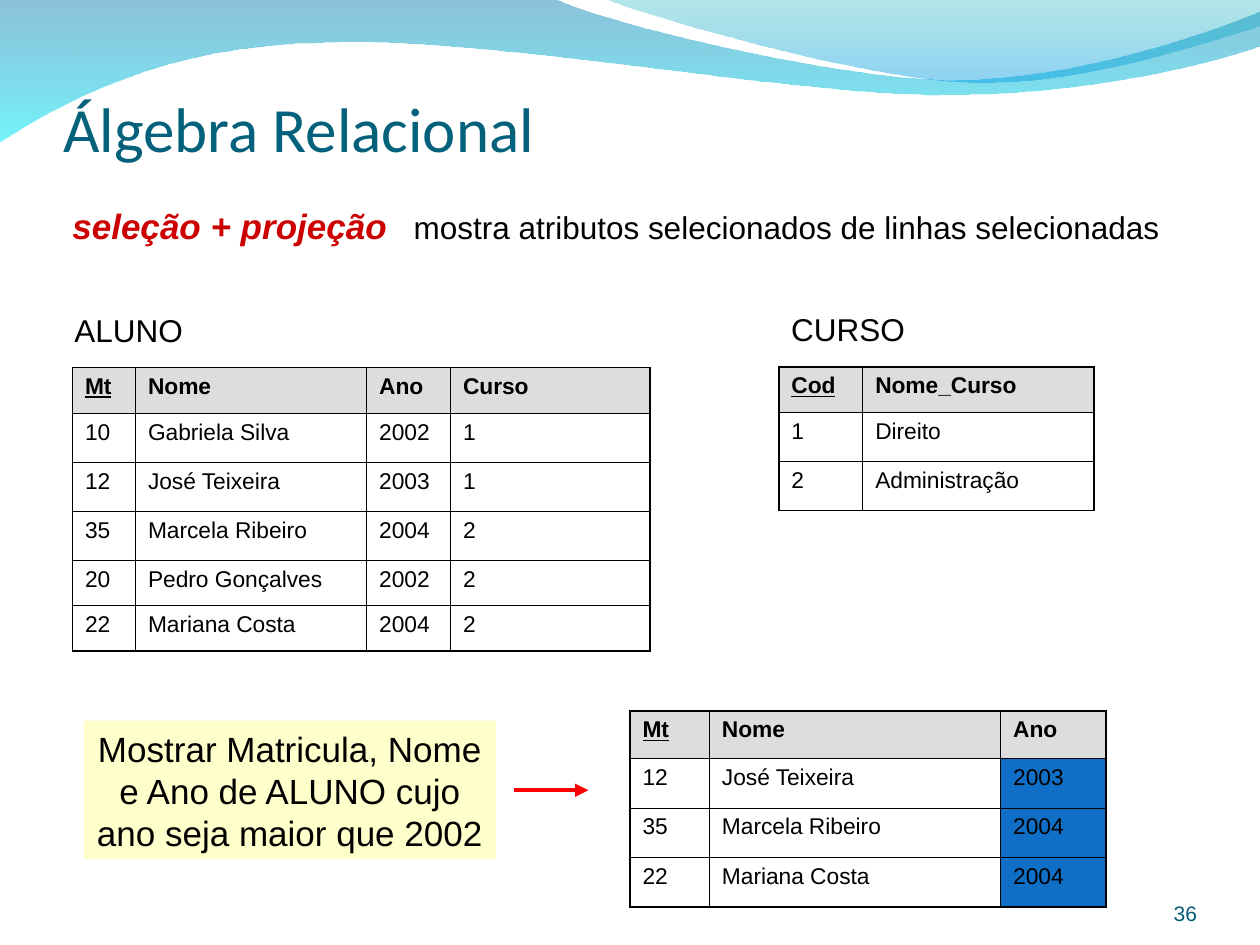
from lxml.etree import SubElement
from pptx import Presentation
from pptx.dml.color import RGBColor
from pptx.enum.shapes import MSO_CONNECTOR as CONN, MSO_SHAPE as SHAPE
from pptx.enum.text import MSO_ANCHOR as ANCHOR, PP_ALIGN as ALIGN
from pptx.oxml.ns import qn
from pptx.util import Cm, Pt

COLORS = {
    "title": "04617B", "number": "045C75", "text": "000000", "term": "CC0000",
    "header": "DDDDDD", "highlight": "0F6FC6", "note": "FFFFCC", "arrow": "FF0000",
    "wave_top": "0079AF", "wave_bottom": "00EBF8",
    "crest_top": "00ADB6", "crest_bottom": "009BE5",
}
WAVE = [
    (0, -0.03), (11.18, -0.03),
    (12.09, 0.43, 16.87, 1.6, 19.25, 1.6), (21.67, 1.6, 24.33, 0.66, 25.4, 0.23),
    (25.43, 0.91),
    (24.97, 1.12, 22.1, 1.93, 18.95, 1.91), (15.8, 1.91, 9.7, 0.71, 6.53, 0.86),
    (3.28, 0.89, 1.17, 2.11, -0.03, 2.87),
]
CREST = [
    (12.17, -0.03),
    (12.93, 0.28, 17.32, 1.57, 19.53, 1.65), (21.74, 1.75, 24.41, 0.81, 25.4, 0.53),
    (25.4, 0),
]
STUDENTS = [
    ["Mt", "Nome", "Ano", "Curso"],
    ["10", "Gabriela Silva", "2002", "1"],
    ["12", "José Teixeira", "2003", "1"],
    ["35", "Marcela Ribeiro", "2004", "2"],
    ["20", "Pedro Gonçalves", "2002", "2"],
    ["22", "Mariana Costa", "2004", "2"],
]
COURSES = [["Cod", "Nome_Curso"], ["1", "Direito"], ["2", "Administração"]]
RESULT = [
    ["Mt", "Nome", "Ano"],
    ["12", "José Teixeira", "2003"],
    ["35", "Marcela Ribeiro", "2004"],
    ["22", "Mariana Costa", "2004"],
]


def rgb(name):
    """Return the named palette colour."""
    return RGBColor.from_string(COLORS[name])


def bend(sp, segments):
    """Turn the straight segments that carry control points into cubic curves."""
    lines = list(sp._element.spPr.iter(qn("a:lnTo")))
    for line, seg in zip(lines, segments):
        if len(seg) == 6:
            outline = line.getparent()
            curve = SubElement(outline, qn("a:cubicBezTo"))
            for x, y in zip(seg[::2], seg[1::2]):
                SubElement(curve, qn("a:pt"), x=str(Cm(x) - sp.left), y=str(Cm(y) - sp.top))
            outline.replace(line, curve)


def add_wave(s, segments, stops):
    """Draw a translucent curved outline with a vertical gradient."""
    points = [(Cm(seg[-2]), Cm(seg[-1])) for seg in segments]
    builder = s.shapes.build_freeform(*points[0])
    builder.add_line_segments(points[1:], close=True)
    sp = builder.convert_to_shape()
    bend(sp, segments[1:])
    sp.shadow.inherit = False
    sp.line.fill.background()
    sp.fill.gradient()
    sp.fill.gradient_angle = 270
    for position, (stop, (color, _)) in enumerate(zip(sp.fill.gradient_stops, stops)):
        stop.position = position
        stop.color.rgb = rgb(color)
    for node, (_, alpha) in zip(sp._element.spPr.iter(qn("a:srgbClr")), stops):
        SubElement(node, qn("a:alpha"), val=str(alpha * 1000))


def add_run(p, text, size=18, color="text", font="Arial", **style):
    """Append a formatted run to a paragraph."""
    r = p.add_run()
    r.text = text
    r.font.name, r.font.size = font, Pt(size)
    r.font.color.rgb = rgb(color)
    for key, value in style.items():
        setattr(r.font, key, value)


def set_frame(tf, margins=(0.25, 0.13, 0.25, 0.13), anchor=ANCHOR.TOP, align=ALIGN.LEFT):
    """Lay out a text frame and return its first paragraph."""
    tf.margin_left, tf.margin_top, tf.margin_right, tf.margin_bottom = map(Cm, margins)
    tf.vertical_anchor, tf.word_wrap = anchor, True
    p = tf.paragraphs[0]
    p.alignment = align
    return p


def add_text(s, box, text, frame=None, **style):
    """Add a text box with one run."""
    sp = s.shapes.add_textbox(*map(Cm, box))
    add_run(set_frame(sp.text_frame, **(frame or {})), text, **style)


def add_definition(s):
    """Add the operation name and its meaning, set apart by a tab."""
    sp = s.shapes.add_textbox(Cm(1.21), Cm(3.31), Cm(23.5), Cm(2.97))
    p = set_frame(sp.text_frame)
    p.line_spacing = 1.8
    tabs = SubElement(p._p.get_or_add_pPr(), qn("a:tabLst"))
    SubElement(tabs, qn("a:tab"), pos=str(Cm(6.88)), algn="l")
    add_run(p, "seleção + projeção", size=20, color="term", bold=True, italic=True)
    add_run(p, "\tmostra atributos selecionados de linhas selecionadas")


def add_note(s, box, text):
    """Add the filled box with the query."""
    sp = s.shapes.add_shape(SHAPE.RECTANGLE, *map(Cm, box))
    sp.shadow.inherit = False
    sp.fill.solid()
    sp.fill.fore_color.rgb = rgb("note")
    sp.line.fill.background()
    add_run(set_frame(sp.text_frame, align=ALIGN.CENTER), text, size=20)


def add_arrow(s, x1, x2, y):
    """Add a horizontal arrow."""
    c = s.shapes.add_connector(CONN.STRAIGHT, Cm(x1), Cm(y), Cm(x2), Cm(y))
    c.line.color.rgb = rgb("arrow")
    c.line.width = Pt(2.5)
    SubElement(c.line._get_or_add_ln(), qn("a:tailEnd"), type="triangle")
    SubElement(c._element.spPr, qn("a:effectLst"))


def set_borders(cell, outer):
    """Draw the four cell borders, thicker on the table's edge."""
    tcPr = cell._tc.get_or_add_tcPr()
    for side in "LRTB":
        ln = SubElement(tcPr, qn(f"a:ln{side}"), w=str(Pt(1.08 if side in outer else 0.45)))
        SubElement(SubElement(ln, qn("a:solidFill")), qn("a:srgbClr"), val=COLORS["text"])


def add_relation(s, left, top, widths, heights, rows, highlight=None):
    """Add a relation with a header row, its key underlined."""
    last_row, last_col = len(rows) - 1, len(widths) - 1
    frame = s.shapes.add_table(len(rows), len(widths), Cm(left), Cm(top),
                               Cm(sum(widths)), Cm(sum(heights)))
    table = frame.table
    table.first_row = table.horz_banding = False
    for col, width in zip(table.columns, widths):
        col.width = Cm(width)
    for i, (row, height) in enumerate(zip(rows, heights)):
        table.rows[i].height = Cm(height)
        for j, text in enumerate(row):
            cell = table.cell(i, j)
            edges = {"T": i == 0, "B": i == last_row, "L": j == 0, "R": j == last_col}
            set_borders(cell, [side for side, on_edge in edges.items() if on_edge])
            fill = "header" if i == 0 else "highlight" if j == highlight else None
            if fill:
                cell.fill.solid()
                cell.fill.fore_color.rgb = rgb(fill)
            else:
                cell.fill.background()
            add_run(cell.text_frame.paragraphs[0], text, size=13,
                    bold=i == 0, underline=i == 0 and j == 0)


def main():
    """Build the slide and save it."""
    prs = Presentation()
    prs.slide_width, prs.slide_height = Cm(25.4), Cm(19.05)
    s = prs.slides.add_slide(prs.slide_layouts[6])
    add_wave(s, WAVE, [("wave_top", 45), ("wave_bottom", 55)])
    add_wave(s, CREST, [("crest_top", 30), ("crest_bottom", 45)])
    add_text(s, (1.28, 0.76, 22.86, 2.57), "Álgebra Relacional",
             frame={"margins": (0, 0.13, 0, 0), "anchor": ANCHOR.BOTTOM},
             size=36, color="title", font="Calibri")
    add_relation(s, 12.7, 14.33, [1.6, 5.87, 2.13], [0.96, 1, 1, 1], RESULT, highlight=2)
    add_text(s, (18.21, 17.35, 5.92, 1.32), "36",
             frame={"margins": (0, 0, 0, 0), "anchor": ANCHOR.BOTTOM, "align": ALIGN.RIGHT},
             size=12, color="number")
    add_text(s, (1.25, 6.15, 2.9, 1.02), "ALUNO")
    add_note(s, (1.69, 14.53, 8.31, 2.79),
             "Mostrar Matricula, Nome e Ano de ALUNO cujo ano seja maior que 2002")
    add_arrow(s, 10.37, 11.86, 15.93)
    add_relation(s, 1.46, 7.41, [1.27, 4.66, 1.69, 4.02],
                 [0.92, 0.99, 0.99, 0.99, 0.91, 0.92], STUDENTS)
    add_relation(s, 15.7, 7.4, [1.69, 4.66], [0.92, 0.99, 0.98], COURSES)
    add_text(s, (15.7, 6.12, 3, 1.02), "CURSO")
    add_definition(s)
    prs.save("out.pptx")


if __name__ == "__main__":
    main()
